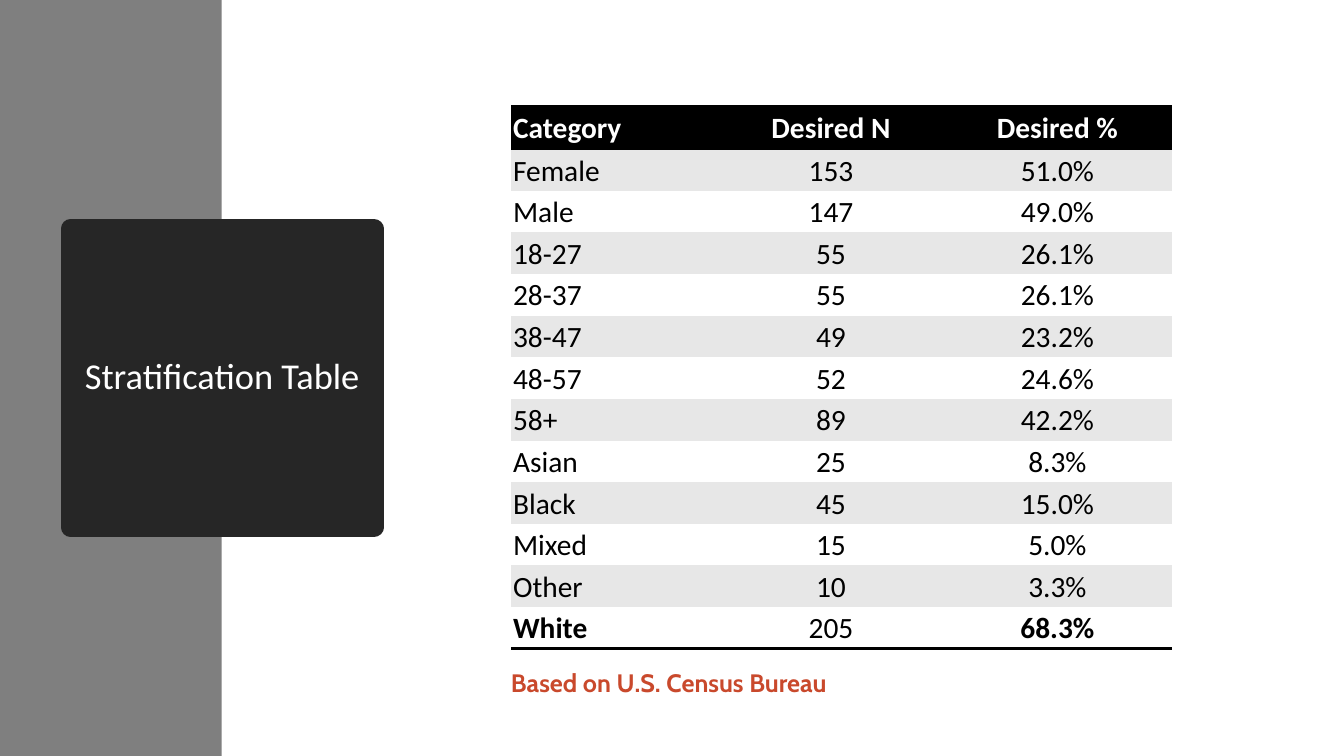
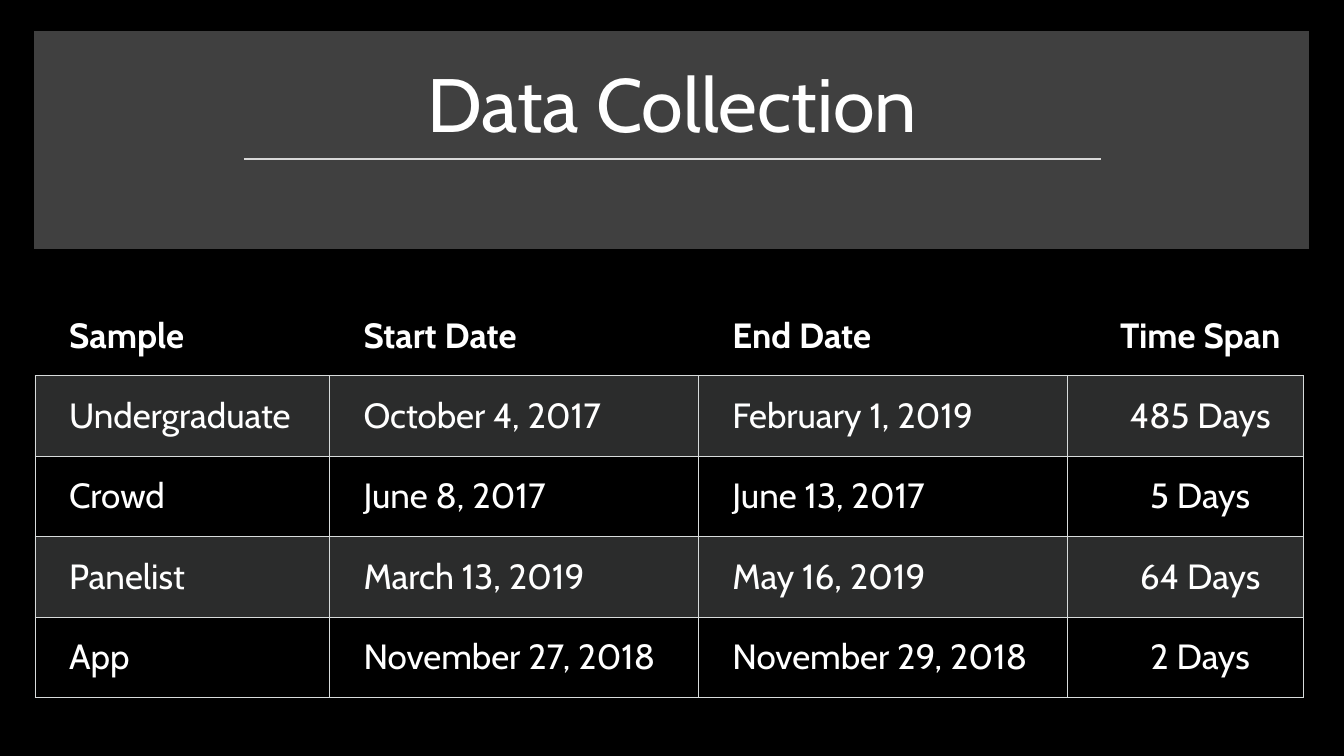
"""Build the stratification and data collection slides."""
from dataclasses import dataclass
from typing import Optional

from lxml import etree
from pptx import Presentation
from pptx import util as u
from pptx.dml.color import RGBColor
from pptx.enum import shapes, text
from pptx.oxml import ns


@dataclass(frozen=True)
class Theme:
    black: str = "000000"
    white: str = "FFFFFF"
    sidebar: str = "7F7F7F"
    title_card: str = "262626"
    title_panel: str = "404040"
    rule: str = "D9D9D9"
    stripe: str = "E7E7E7"
    glass: str = "D8DEDC"
    grid_line: str = "D8DCDC"
    accent: str = "C9492C"
    plain_font: str = "Calibri"
    brand_font: str = "Cabin"
    card_title: float = 26
    panel_title: float = 54
    strata_text: float = 21
    dates_text: float = 25
    note_text: float = 18


@dataclass(frozen=True)
class Box:
    """Percent shares of the slide's width and height."""
    left: float
    top: float
    width: float
    height: float


@dataclass(frozen=True)
class TextStyle:
    font: str
    size: float
    color: str
    bold: bool = False


@dataclass(frozen=True)
class CellStyle:
    color: str
    bold: bool = False
    fill: Optional[str] = None
    opacity: int = 100
    edges: str = ""


@dataclass(frozen=True)
class TableDesign:
    left: float
    top: float
    columns: tuple[float, ...]
    header_height: float
    body_height: float
    font: str
    size: float
    insets: tuple[float, float, float, float]
    centered: tuple[int, ...]
    edge_color: str
    edge_width: float
    header: CellStyle
    odd: CellStyle
    even: CellStyle
    last: CellStyle
    emphasis: tuple[str, ...] = ()


THEME = Theme()
WIDTH, HEIGHT = u.Inches(13.333), u.Inches(7.5)
NO_STYLE = "{2D5ABB26-0587-4C30-8999-92F81FD0307C}"

STRATA = (
    ("Category", "Desired N", "Desired %"),
    ("Female", "153", "51.0%"),
    ("Male", "147", "49.0%"),
    ("18-27", "55", "26.1%"),
    ("28-37", "55", "26.1%"),
    ("38-47", "49", "23.2%"),
    ("48-57", "52", "24.6%"),
    ("58+", "89", "42.2%"),
    ("Asian", "25", "8.3%"),
    ("Black", "45", "15.0%"),
    ("Mixed", "15", "5.0%"),
    ("Other", "10", "3.3%"),
    ("White", "205", "68.3%"),
)
DATES = (
    ("Sample", "Start Date", "End Date", "Time Span"),
    ("Undergraduate", "October 4, 2017", "February 1, 2019", "485 Days"),
    ("Crowd", "June 8, 2017", "June 13, 2017", "5 Days"),
    ("Panelist", "March 13, 2019", "May 16, 2019", "64 Days"),
    ("App", "November 27, 2018", "November 29, 2018", "2 Days"),
)

OPEN_ROW = CellStyle(THEME.white, edges="LRTB")
STRATA_DESIGN = TableDesign(
    left=38.03, top=14, columns=(15.45, 16.7, 17),
    header_height=5.73, body_height=5.51,
    font=THEME.plain_font, size=THEME.strata_text,
    insets=(0.02, 0.02, 0.02, 0), centered=(1, 2),
    edge_color=THEME.black, edge_width=2,
    header=CellStyle(THEME.white, True, THEME.black, edges="TB"),
    odd=CellStyle(THEME.black, fill=THEME.stripe),
    even=CellStyle(THEME.black, fill=THEME.white),
    last=CellStyle(THEME.black, fill=THEME.white, edges="B"),
    emphasis=("White", "68.3%"),
)
DATES_DESIGN = TableDesign(
    left=2.6, top=39.07, columns=(21.9, 27.45, 27.45, 17.55),
    header_height=10.64, body_height=10.64,
    font=THEME.brand_font, size=THEME.dates_text,
    insets=(0.34, 0.17, 0.04, 0.17), centered=(3,),
    edge_color=THEME.grid_line, edge_width=0.75,
    header=CellStyle(THEME.white, True, edges="B"),
    odd=CellStyle(THEME.white, fill=THEME.glass, opacity=20, edges="LRTB"),
    even=OPEN_ROW, last=OPEN_ROW,
)


def across(share: float) -> int:
    return round(WIDTH * share / 100)


def down(share: float) -> int:
    return round(HEIGHT * share / 100)


def place(box: Box) -> tuple[int, int, int, int]:
    return across(box.left), down(box.top), across(box.width), down(box.height)


def rgb(color: str) -> RGBColor:
    return RGBColor.from_string(color)


def write(paragraph, words: str, style: TextStyle, centered: bool = False) -> None:
    paragraph.alignment = text.PP_ALIGN.CENTER if centered else text.PP_ALIGN.LEFT
    run = paragraph.add_run()
    run.text = words
    run.font.name = style.font
    run.font.size = u.Pt(style.size)
    run.font.bold = style.bold
    run.font.color.rgb = rgb(style.color)


def add_block(slide, box: Box, color: str, outline: float = 0, join: str = "miter"):
    block = slide.shapes.add_shape(shapes.MSO_SHAPE.RECTANGLE, *place(box))
    block.shadow.inherit = False
    block.fill.solid()
    block.fill.fore_color.rgb = rgb(color)
    if outline:
        block.line.color.rgb = rgb(color)
        block.line.width = u.Pt(outline)
        etree.SubElement(block.line._get_or_add_ln(), ns.qn(f"a:{join}"))
    else:
        block.line.fill.background()
    return block


def set_title(holder, words: str, font: str, size: float, anchor: text.MSO_ANCHOR) -> None:
    frame = holder.text_frame
    frame.word_wrap = True
    frame.vertical_anchor = anchor
    frame.paragraphs[0].line_spacing = 0.9
    write(frame.paragraphs[0], words, TextStyle(font, size, THEME.white), centered=True)


def draw_edges(cell, edges: str, color: str, width: float) -> None:
    properties = cell._tc.get_or_add_tcPr()
    for side in "LRTB":
        edge = etree.SubElement(properties, ns.qn(f"a:ln{side}"))
        if side in edges:
            edge.set("w", str(u.Pt(width)))
            paint = etree.SubElement(edge, ns.qn("a:solidFill"))
            etree.SubElement(paint, ns.qn("a:srgbClr"), val=color)
        else:
            etree.SubElement(edge, ns.qn("a:noFill"))


def fill_cell(cell, style: CellStyle) -> None:
    if style.fill is None:
        cell.fill.background()
        return
    cell.fill.solid()
    cell.fill.fore_color.rgb = rgb(style.fill)
    if style.opacity < 100:
        tint = cell._tc.tcPr.find(f"{ns.qn('a:solidFill')}/{ns.qn('a:srgbClr')}")
        etree.SubElement(tint, ns.qn("a:alpha"), val=str(style.opacity * 1000))


def row_style(design: TableDesign, row: int, count: int) -> CellStyle:
    if row == 0:
        return design.header
    if row == count - 1:
        return design.last
    return design.odd if row % 2 else design.even


def add_grid(slide, design: TableDesign, records: tuple[tuple[str, ...], ...]) -> None:
    heights = [design.header_height] + [design.body_height] * (len(records) - 1)
    area = Box(design.left, design.top, sum(design.columns), sum(heights))
    grid = slide.shapes.add_table(len(records), len(design.columns), *place(area)).table
    grid.horz_banding = False
    grid._tbl.tblPr.find(ns.qn("a:tableStyleId")).text = NO_STYLE
    for column, share in zip(grid.columns, design.columns):
        column.width = across(share)
    for row, (record, height) in enumerate(zip(records, heights)):
        grid.rows[row].height = down(height)
        style = row_style(design, row, len(records))
        for column, words in enumerate(record):
            cell = grid.cell(row, column)
            (cell.margin_left, cell.margin_top,
             cell.margin_right, cell.margin_bottom) = map(u.Inches, design.insets)
            cell.vertical_anchor = text.MSO_ANCHOR.MIDDLE
            draw_edges(cell, style.edges, design.edge_color, design.edge_width)
            fill_cell(cell, style)
            bold = style.bold or words in design.emphasis
            write(cell.text_frame.paragraphs[0], words,
                  TextStyle(design.font, design.size, style.color, bold),
                  column in design.centered)


def add_rule(slide, start: float, end: float, level: float) -> None:
    rule = slide.shapes.add_connector(
        shapes.MSO_CONNECTOR.STRAIGHT, across(start), down(level), across(end), down(level))
    rule.line.color.rgb = rgb(THEME.rule)
    rule.line.width = u.Pt(1.75)
    etree.SubElement(rule._element.spPr, ns.qn("a:effectLst"))


def add_slide(deck):
    slide = deck.slides.add_slide(deck.slide_layouts[6])
    slide.background.fill.solid()
    slide.background.fill.fore_color.rgb = rgb(THEME.black)
    return slide


def build_stratification(deck) -> None:
    slide = add_slide(deck)
    add_block(slide, Box(0, 0, 100, 100), THEME.white)
    add_block(slide, Box(0, 0, 16.5, 100), THEME.sidebar)
    card = add_block(slide, Box(5.25, 30.27, 22.58, 39.47), THEME.title_card, 13.75, "round")
    set_title(card, "Stratification Table", THEME.plain_font, THEME.card_title,
              text.MSO_ANCHOR.MIDDLE)
    add_grid(slide, STRATA_DESIGN, STRATA)
    source = slide.shapes.add_textbox(*place(Box(37.28, 87.6, 28.35, 5.33))).text_frame
    source.word_wrap = False
    source.auto_size = text.MSO_AUTO_SIZE.SHAPE_TO_FIT_TEXT
    write(source.paragraphs[0], "Based on U.S. Census Bureau",
          TextStyle(THEME.brand_font, THEME.note_text, THEME.accent, True))


def build_data_collection(deck) -> None:
    slide = add_slide(deck)
    add_block(slide, Box(3.08, 5.07, 93.83, 26.93), THEME.title_panel, 10)
    heading = slide.shapes.add_textbox(*place(Box(4.35, 6.8, 91.35, 13.6)))
    set_title(heading, "Data Collection", THEME.brand_font, THEME.panel_title,
              text.MSO_ANCHOR.BOTTOM)
    add_rule(slide, 18.15, 81.9, 21.07)
    add_grid(slide, DATES_DESIGN, DATES)


def main() -> None:
    deck = Presentation()
    deck.slide_width, deck.slide_height = WIDTH, HEIGHT
    build_stratification(deck)
    build_data_collection(deck)
    deck.save("out.pptx")


if __name__ == "__main__":
    main()
